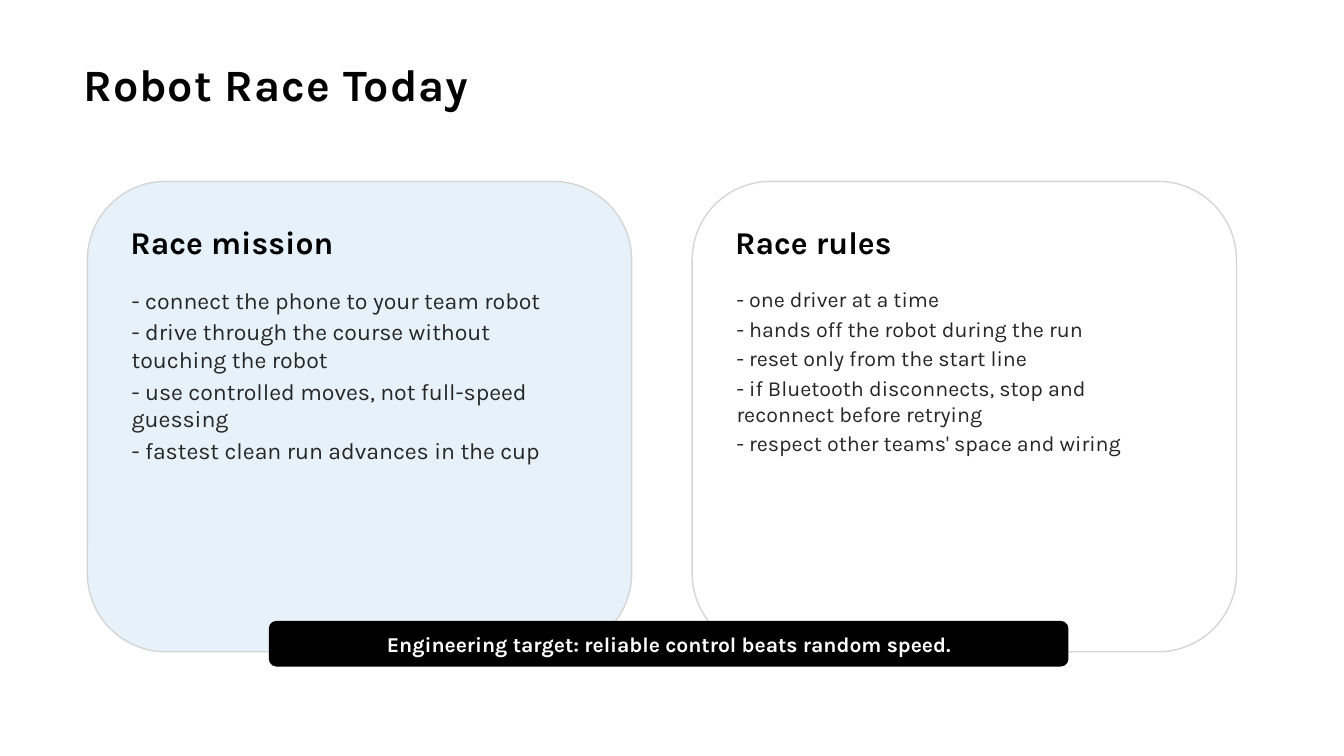
from pptx import Presentation
from pptx.dml.color import RGBColor
from pptx.enum.shapes import MSO_SHAPE
from pptx.enum.text import MSO_ANCHOR, MSO_AUTO_SIZE, PP_ALIGN
from pptx.util import Inches, Pt

BLACK = RGBColor(0x00, 0x00, 0x00)
WHITE = RGBColor(0xFF, 0xFF, 0xFF)
INK = RGBColor(0x26, 0x26, 0x26)
PALE_BLUE = RGBColor(0xE7, 0xF1, 0xFA)
BORDER = RGBColor(0xD5, 0xD5, 0xD5)
FONT = "Karla"

TITLE = "Robot Race Today"
TARGET = "Engineering target: reliable control beats random speed."
CARDS = [
    {
        "heading": "Race mission",
        "fill": PALE_BLUE,
        "size": 12.4,
        "height": 1.55,
        "items": [
            "- connect the phone to your team robot",
            "- drive through the course without touching the robot",
            "- use controlled moves, not full-speed guessing",
            "- fastest clean run advances in the cup",
        ],
    },
    {
        "heading": "Race rules",
        "fill": WHITE,
        "size": 11.5,
        "height": 1.75,
        "items": [
            "- one driver at a time",
            "- hands off the robot during the run",
            "- reset only from the start line",
            "- if Bluetooth disconnects, stop and reconnect before retrying",
            "- respect other teams' space and wiring",
        ],
    },
]

SLIDE_WIDTH = Inches(10)
SLIDE_HEIGHT = SLIDE_WIDTH * 9 // 16
CARD_LEFT, CARD_TOP, CARD_WIDTH, CARD_HEIGHT = 0.65, 1.35, 4.05, 3.5
GUTTER = 0.45
PADDING = 0.3
ITEMS_OFFSET = 0.77


def write(shape, lines, size, color, bold=False, inset=(0, 0),
          align=PP_ALIGN.LEFT, anchor=MSO_ANCHOR.TOP, space_after=0):
    frame = shape.text_frame
    frame.text = "\n".join(lines)
    frame.word_wrap = True
    frame.vertical_anchor = anchor
    frame.margin_left = frame.margin_right = Inches(inset[0])
    frame.margin_top = frame.margin_bottom = Inches(inset[1])
    for para in frame.paragraphs:
        para.alignment = align
        para.space_before = Pt(0)
        para.space_after = Pt(space_after)
        for span in para.runs:
            span.font.name = FONT
            span.font.size = Pt(size)
            span.font.bold = bold
            span.font.color.rgb = color
    return frame


def add_text(page, place, lines, **style):
    box = page.shapes.add_textbox(*map(Inches, place))
    write(box, lines, **style).auto_size = MSO_AUTO_SIZE.SHAPE_TO_FIT_TEXT


def add_panel(page, place, fill, line=None):
    panel = page.shapes.add_shape(MSO_SHAPE.ROUNDED_RECTANGLE, *map(Inches, place))
    panel.shadow.inherit = False
    panel.fill.solid()
    panel.fill.fore_color.rgb = fill
    if line is None:
        panel.line.fill.background()
    else:
        panel.line.color.rgb = line
        panel.line.width = Pt(0.75)
    return panel


def add_title(page):
    title = page.shapes.title
    title.left, title.top, title.width, title.height = map(Inches, (0.62, 0.47, 8.81, 0.79))
    frame = write(title, [TITLE], size=24, color=BLACK, bold=True)
    frame.auto_size = MSO_AUTO_SIZE.NONE
    para = frame.paragraphs[0]
    para.line_spacing = 0.9
    para.runs[0]._r.get_or_add_rPr().set("spc", "50")


def add_card(page, column, card):
    left = CARD_LEFT + column * (CARD_WIDTH + GUTTER)
    inner = left + PADDING
    inner_width = CARD_WIDTH - 2 * PADDING
    add_panel(page, (left, CARD_TOP, CARD_WIDTH, CARD_HEIGHT), card["fill"], BORDER)
    add_text(page, (inner, CARD_TOP + PADDING, inner_width, 0.24), [card["heading"]],
             size=17, color=BLACK, bold=True, inset=(0.02, 0.01))
    add_text(page, (inner, CARD_TOP + ITEMS_OFFSET, inner_width - 0.1, card["height"]),
             card["items"], size=card["size"], color=INK, inset=(0.03, 0.01), space_after=2)


def main():
    deck = Presentation()
    deck.slide_width, deck.slide_height = SLIDE_WIDTH, SLIDE_HEIGHT
    page = deck.slides.add_slide(deck.slide_layouts[5])
    page.background.fill.solid()
    page.background.fill.fore_color.rgb = WHITE
    add_title(page)
    for column, card in enumerate(CARDS):
        add_card(page, column, card)
    banner = add_panel(page, (2, 4.62, 5.95, 0.34), BLACK)
    write(banner, [TARGET], size=11.3, color=WHITE, bold=True, inset=(0.05, 0.01),
          align=PP_ALIGN.CENTER, anchor=MSO_ANCHOR.MIDDLE)
    deck.save("out.pptx")


if __name__ == "__main__":
    main()
